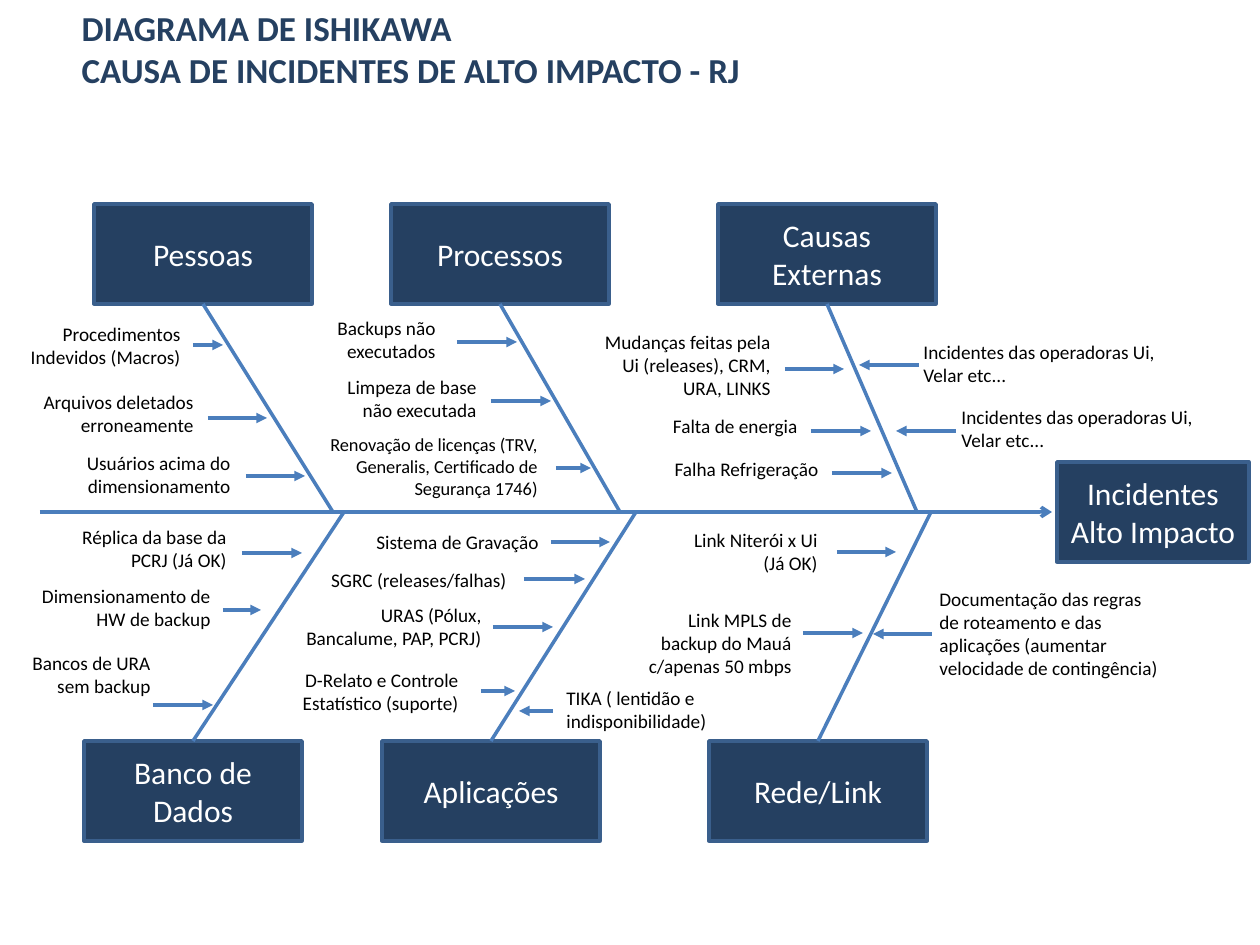
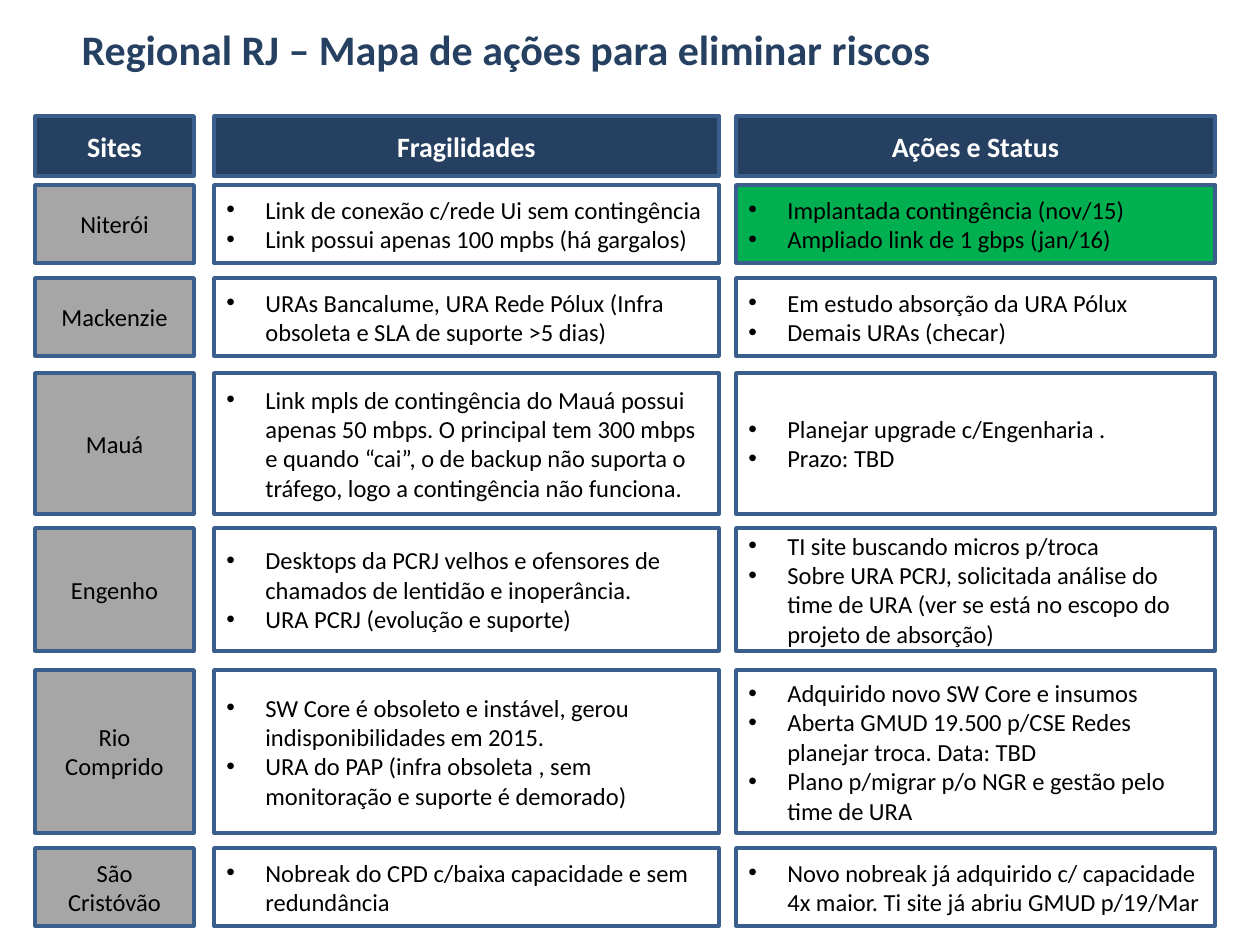
"""Ishikawa diagram of high-impact incidents and the action map for the RJ sites."""
from lxml import etree
from pptx import Presentation
from pptx.dml.color import RGBColor
from pptx.enum.shapes import MSO_CONNECTOR, MSO_SHAPE
from pptx.enum.text import MSO_ANCHOR, MSO_AUTO_SIZE, PP_ALIGN
from pptx.oxml.ns import qn
from pptx.util import Emu, Pt

RECTANGLE = MSO_SHAPE.RECTANGLE
STRAIGHT = MSO_CONNECTOR.STRAIGHT
LEFT, CENTER, RIGHT = PP_ALIGN.LEFT, PP_ALIGN.CENTER, PP_ALIGN.RIGHT
MIDDLE = MSO_ANCHOR.MIDDLE
FIXED_SIZE = MSO_AUTO_SIZE.NONE

PX_PER_INCH = 126
EMU_PER_PX = 914400 / PX_PER_INCH
FONT = "Calibri"
COLORS = {
    "navy": "254061",
    "border": "3A5F8C",
    "bone": "4B7EBC",
    "site": "A6A6A6",
    "done": "00B050",
    "white": "FFFFFF",
    "black": "000000",
}

SPINE_Y = 512
CATEGORY_WIDTH, CATEGORY_HEIGHT = 218, 100
UPPER_TOP, LOWER_TOP = 204, 741
BULLET_INDENT = 39

# Each category: name, left, top, x where its bone meets the spine, causes.
# Each cause: text, left, top, width, lines, arrow start x, arrow end x, arrow y.
CATEGORIES = [
    ("Pessoas", 94, UPPER_TOP, 333, [
        ("Procedimentos Indevidos (Macros)", 0, 316, 193, 2, 193, 223, 345),
        ("Arquivos deletados erroneamente", 6, 384, 200, 2, 208, 267, 418),
        ("Usuários acima do dimensionamento", 43, 445, 200, 2, 246, 305, 476),
    ]),
    ("Processos", 391, UPPER_TOP, 620, [
        ("Backups não executados", 263, 310, 185, 2, 457, 517, 342),
        ("Limpeza de base não executada", 304, 369, 185, 2, 491, 551, 401),
        ("Renovação de licenças (TRV, Generalis, Certificado de Segurança 1746)",
         307, 427, 243, 3, 556, 591, 468, 10.5),
    ]),
    ("Causas Externas", 718, UPPER_TOP, 917, [
        ("Mudanças feitas pela Ui (releases), CRM, URA, LINKS",
         583, 324, 200, 3, 785, 844, 369),
        ("Falta de energia", 610, 408, 200, 1, 811, 871, 431),
        ("Falha Refrigeração", 631, 451, 200, 1, 832, 892, 473),
        ("Incidentes das operadoras Ui, Velar etc...", 911, 334, 261, 2, 919, 859, 365),
        ("Incidentes das operadoras Ui, Velar etc...", 949, 399, 261, 2, 956, 896, 431),
    ]),
    ("Banco de Dados", 84, LOWER_TOP, 344, [
        ("Réplica da base da PCRJ (Já OK)", 68, 519, 171, 2, 242, 302, 553),
        ("Dimensionamento de HW de backup", 28, 578, 195, 2, 223, 261, 610),
        ("Bancos de URA sem backup", 0, 645, 163, 2, 153, 213, 705),
    ]),
    ("Aplicações", 382, LOWER_TOP, 636, [
        ("Sistema de Gravação", 357, 524, 194, 1, 551, 610, 542),
        ("SGRC (releases/falhas)", 318, 562, 201, 1, 524, 585, 579),
        ("URAS (Pólux, Bancalume, PAP, PCRJ)", 290, 597, 204, 2, 493, 553, 627),
        ("D-Relato e Controle Estatístico (suporte)", 271, 662, 200, 2, 481, 515, 691),
        ("TIKA ( lentidão e indisponibilidade)", 554, 680, 200, 2, 553, 519, 711),
    ]),
    ("Rede/Link", 709, LOWER_TOP, 931, [
        ("Link Niterói x Ui (Já OK)", 659, 522, 171, 2, 837, 896, 552),
        ("Link MPLS de backup do Mauá c/apenas 50 mbps", 633, 602, 171, 3, 803, 863, 633),
        ("Documentação das regras de roteamento e das aplicações "
         "(aumentar velocidade de contingência)", 927, 581, 247, 4, 932, 873, 634),
    ]),
]

COLUMNS = [("Sites", 35, 159), ("Fragilidades", 214, 505), ("Ações e Status", 736, 479)]
HEADER_TOP, HEADER_HEIGHT = 116, 60
SITES = [
    ("Niterói", 185, 78,
     ["Link de conexão c/rede Ui sem contingência",
      "Link possui apenas 100 mpbs (há gargalos)"],
     ["Implantada contingência (nov/15)", "Ampliado link de 1 gbps (jan/16)"], "done"),
    ("Mackenzie", 278, 78,
     ["URAs Bancalume, URA Rede Pólux (Infra obsoleta e SLA de suporte >5 dias)"],
     ["Em estudo absorção da URA Pólux", "Demais URAs (checar)"], None),
    ("Mauá", 373, 141,
     ["Link mpls de contingência do Mauá possui apenas 50 mbps. O principal tem "
      "300 mbps e quando “cai”, o de backup não suporta o tráfego, logo a "
      "contingência não funciona."],
     ["Planejar upgrade c/Engenharia .", "Prazo: TBD"], None),
    ("Engenho", 528, 123,
     ["Desktops da PCRJ velhos e ofensores de chamados de lentidão e inoperância.",
      "URA PCRJ (evolução e suporte)"],
     ["TI site buscando micros p/troca",
      "Sobre URA PCRJ, solicitada análise do time de URA (ver se está no escopo "
      "do projeto de absorção)"], None),
    ("Rio Comprido", 670, 163,
     ["SW Core é obsoleto e instável, gerou indisponibilidades em 2015.",
      "URA do PAP (infra obsoleta , sem monitoração e suporte é demorado)"],
     ["Adquirido novo SW Core e insumos",
      "Aberta GMUD 19.500 p/CSE Redes planejar troca. Data: TBD",
      "Plano p/migrar p/o NGR e gestão pelo time de URA"], None),
    ("São Cristóvão", 848, 78,
     ["Nobreak do CPD c/baixa capacidade e sem redundância"],
     ["Novo nobreak já adquirido c/ capacidade 4x maior. Ti site já abriu GMUD "
      "p/19/Mar"], None),
]


def px(length):
    """Turn pixels into EMU."""
    return Emu(round(length * EMU_PER_PX))


def rgb(color):
    """Look up a named colour."""
    return RGBColor.from_string(COLORS[color])


def add_bullet(paragraph):
    """Give a paragraph a hanging round bullet."""
    properties = paragraph._p.get_or_add_pPr()
    properties.set("marL", str(px(BULLET_INDENT)))
    properties.set("indent", str(-px(BULLET_INDENT)))
    etree.SubElement(properties, qn("a:buFont")).set("typeface", "Arial")
    etree.SubElement(properties, qn("a:buChar")).set("char", "•")


def write(frame, lines, size, color, align=LEFT, bold=False, bulleted=False):
    """Write one formatted paragraph for each line."""
    frame.word_wrap = True
    for index, line in enumerate(lines):
        paragraph = frame.paragraphs[0] if index == 0 else frame.add_paragraph()
        if bulleted:
            add_bullet(paragraph)
        paragraph.alignment = align
        run = paragraph.add_run()
        run.text = line
        run.font.name = FONT
        run.font.size = Pt(size)
        run.font.bold = bold
        run.font.color.rgb = rgb(color)


def add_titled_slide(deck, lines, width, size):
    """Add a title-only slide with the shared title style."""
    slide = deck.slides.add_slide(deck.slide_layouts[5])
    title = slide.shapes.title
    title.left, title.top, title.width, title.height = px(69), px(1), px(width), px(95)
    title.text_frame.auto_size = FIXED_SIZE
    title.text_frame.vertical_anchor = MIDDLE
    write(title.text_frame, lines, size, "navy", bold=True)
    return slide


def add_box(slide, lines, left, top, width, height, fill, size, color, **style):
    """Add a bordered rectangle with vertically centred text."""
    box = slide.shapes.add_shape(RECTANGLE, px(left), px(top), px(width), px(height))
    box.shadow.inherit = False
    if fill:
        box.fill.solid()
        box.fill.fore_color.rgb = rgb(fill)
    else:
        box.fill.background()
    box.line.color.rgb = rgb("border")
    box.line.width = Pt(2)
    box.text_frame.vertical_anchor = MIDDLE
    write(box.text_frame, lines, size, color, **style)


def add_line(slide, start, end, head=None):
    """Add a straight line, with an arrowhead at its end if one is named."""
    line = slide.shapes.add_connector(STRAIGHT, *map(px, start + end))
    line.line.color.rgb = rgb("bone")
    line.line.width = Pt(2)
    if head:
        etree.SubElement(line.get_or_add_ln(), qn("a:tailEnd")).set("type", head)
    etree.SubElement(line._element.spPr, qn("a:effectLst"))


def add_cause(slide, text, left, top, width, lines, start, end, arrow_y, size=11):
    """Add a cause label and the arrow from it to the bone."""
    height = 13 + 23 * lines
    label = slide.shapes.add_textbox(px(left), px(top), px(width), px(height))
    write(label.text_frame, [text], size, "black", RIGHT if start < end else LEFT)
    add_line(slide, (start, arrow_y), (end, arrow_y), "triangle")


def add_category(slide, name, left, top, joint, causes):
    """Add a category box, its bone and its causes."""
    add_box(slide, [name], left, top, CATEGORY_WIDTH, CATEGORY_HEIGHT,
            "navy", 18, "white", align=CENTER)
    edge = top + CATEGORY_HEIGHT if top < SPINE_Y else top
    add_line(slide, (left + CATEGORY_WIDTH // 2, edge), (joint, SPINE_Y))
    for cause in causes:
        add_cause(slide, *cause)


def build_ishikawa(deck):
    """Build the cause diagram slide."""
    slide = add_titled_slide(
        deck, ["DIAGRAMA DE ISHIKAWA", "CAUSA DE INCIDENTES DE ALTO IMPACTO - RJ"], 833, 20)
    add_box(slide, ["Incidentes Alto Impacto"], 1057, 462, 192, 100,
            "navy", 18, "white", align=CENTER)
    add_line(slide, (40, SPINE_Y), (1052, SPINE_Y), "arrow")
    for category in CATEGORIES:
        add_category(slide, *category)


def build_action_map(deck):
    """Build the grid of weaknesses and actions by site."""
    slide = add_titled_slide(
        deck, ["Regional RJ – Mapa de ações para eliminar riscos"], 937, 24)
    for heading, left, width in COLUMNS:
        add_box(slide, [heading], left, HEADER_TOP, width, HEADER_HEIGHT,
                "navy", 16, "white", align=CENTER, bold=True)
    for site, top, height, weaknesses, actions, status in SITES:
        cells = [([site], "site"), (weaknesses, None), (actions, status)]
        for column, (lines, fill) in enumerate(cells):
            _, left, width = COLUMNS[column]
            add_box(slide, lines, left, top, width, height, fill, 14, "black",
                    align=LEFT if column else CENTER, bulleted=column > 0)


def main():
    """Build and save the deck."""
    deck = Presentation()
    deck.slide_width, deck.slide_height = px(1260), px(945)
    build_ishikawa(deck)
    build_action_map(deck)
    deck.save("out.pptx")


if __name__ == "__main__":
    main()
